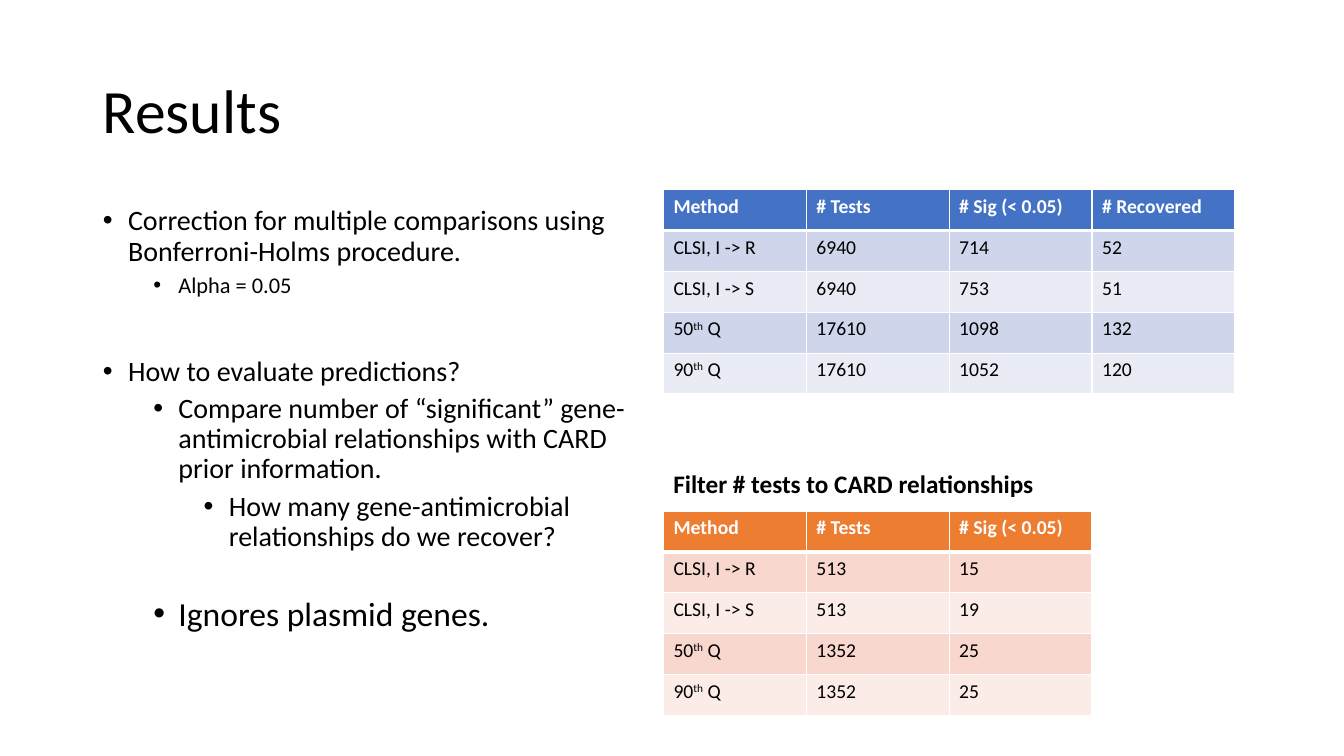
from lxml.etree import SubElement
from pptx import Presentation
from pptx.dml.color import RGBColor
from pptx.enum.text import MSO_ANCHOR, MSO_AUTO_SIZE, PP_ALIGN
from pptx.oxml.ns import qn
from pptx.util import Inches, Pt

FONT = "Calibri"
COLORS = {
    "text": "000000", "white": "FFFFFF",
    "blue": "4472C4", "blue_dark_band": "CFD5EA", "blue_light_band": "E9EBF5",
    "orange": "ED7D31", "orange_dark_band": "F8D7CE", "orange_light_band": "FCECE8",
}

TITLE = "Results"
# text, level, size, space before (points)
BULLETS = [
    ("Correction for multiple comparisons using Bonferroni-Holms procedure.", 0, 20, 10),
    ("Alpha = 0.05", 1, 16, 5),
    ("How to evaluate predictions?", 0, 20, 42),
    ("Compare number of “significant” gene-antimicrobial relationships "
     "with CARD prior information.", 1, 20, 5),
    ("How many gene-antimicrobial relationships do we recover?", 2, 20, 5),
    ("Ignores plasmid genes.", 1, 24, 32),
]
CAPTION = "Filter # tests to CARD relationships"
# Text between carets is superscript
ALL_TESTS = [
    ("Method", "# Tests", "# Sig (< 0.05)", "# Recovered"),
    ("CLSI, I -> R", "6940", "714", "52"),
    ("CLSI, I -> S", "6940", "753", "51"),
    ("50^th^ Q", "17610", "1098", "132"),
    ("90^th^ Q", "17610", "1052", "120"),
]
CARD_TESTS = [
    ("Method", "# Tests", "# Sig (< 0.05)"),
    ("CLSI, I -> R", "513", "15"),
    ("CLSI, I -> S", "513", "19"),
    ("50^th^ Q", "1352", "25"),
    ("90^th^ Q", "1352", "25"),
]
TABLE_LEFT = 6.58
COLUMN_WIDTH = 1.417
ROW_HEIGHT = 0.406


def rgb(name):
    return RGBColor.from_string(COLORS[name])


def write(paragraph, text, size=14, color="text", bold=False):
    """Add text to a paragraph, raising the parts between carets."""
    for index, part in enumerate(text.split("^")):
        run = paragraph.add_run()
        run.text = part
        run.font.name = FONT
        run.font.size = Pt(size)
        run.font.bold = bold
        run.font.color.rgb = rgb(color)
        if index % 2:
            run.font._element.set("baseline", "30000")


def place(shape, left, top, width, height):
    shape.left, shape.top = Inches(left), Inches(top)
    shape.width, shape.height = Inches(width), Inches(height)


def add_bullet(paragraph, level):
    paragraph.level = level
    properties = paragraph._p.get_or_add_pPr()
    properties.set("marL", str(Inches(0.25 + 0.5 * level)))
    properties.set("indent", str(Inches(-0.25)))
    SubElement(properties, qn("a:buFont"), typeface="Arial")
    SubElement(properties, qn("a:buChar"), char="•")


def set_borders(cell, **widths):
    properties = cell._tc.get_or_add_tcPr()
    for side in "LRTB":
        line = SubElement(properties, qn(f"a:ln{side}"), w=str(Pt(widths.get(side, 1))))
        fill = SubElement(line, qn("a:solidFill"))
        SubElement(fill, qn("a:srgbClr"), val=COLORS["white"])


def add_results_table(slide, rows, top, theme):
    row_count, column_count = len(rows), len(rows[0])
    table = slide.shapes.add_table(
        row_count, column_count, Inches(TABLE_LEFT), Inches(top),
        Inches(COLUMN_WIDTH * column_count), Inches(ROW_HEIGHT * row_count)).table
    for row_index, row in enumerate(rows):
        header = row_index == 0
        band = f"{theme}_dark_band" if row_index % 2 else f"{theme}_light_band"
        for column_index, text in enumerate(row):
            cell = table.cell(row_index, column_index)
            set_borders(cell, B=3 if header else 1, T=3 if row_index == 1 else 1)
            cell.fill.solid()
            cell.fill.fore_color.rgb = rgb(theme if header else band)
            write(cell.text_frame.paragraphs[0], text,
                  color="white" if header else "text", bold=header)


def main():
    presentation = Presentation()
    presentation.slide_width, presentation.slide_height = Inches(13.33), Inches(7.5)
    slide = presentation.slides.add_slide(presentation.slide_layouts[1])

    title, body = slide.placeholders[0], slide.placeholders[1]
    place(title, 0.92, 0.4, 11.5, 1.45)
    title.text_frame.vertical_anchor = MSO_ANCHOR.MIDDLE
    heading = title.text_frame.paragraphs[0]
    heading.alignment = PP_ALIGN.LEFT
    heading.line_spacing = 0.9
    write(heading, TITLE, size=44)

    place(body, 0.92, 2, 5.67, 4.76)
    frame = body.text_frame
    frame.auto_size = MSO_AUTO_SIZE.NONE
    for index, (text, level, size, space_before) in enumerate(BULLETS):
        paragraph = frame.add_paragraph() if index else frame.paragraphs[0]
        paragraph.line_spacing = 0.9
        paragraph.space_before = Pt(space_before)
        add_bullet(paragraph, level)
        write(paragraph, text, size=size)

    add_results_table(slide, ALL_TESTS, 1.88, "blue")
    add_results_table(slide, CARD_TESTS, 5.07, "orange")

    caption = slide.shapes.add_textbox(
        Inches(TABLE_LEFT), Inches(4.6), Inches(3.86), Inches(0.4))
    caption.text_frame.word_wrap = False
    write(caption.text_frame.paragraphs[0], CAPTION, size=18, bold=True)

    presentation.save("out.pptx")


if __name__ == "__main__":
    main()
